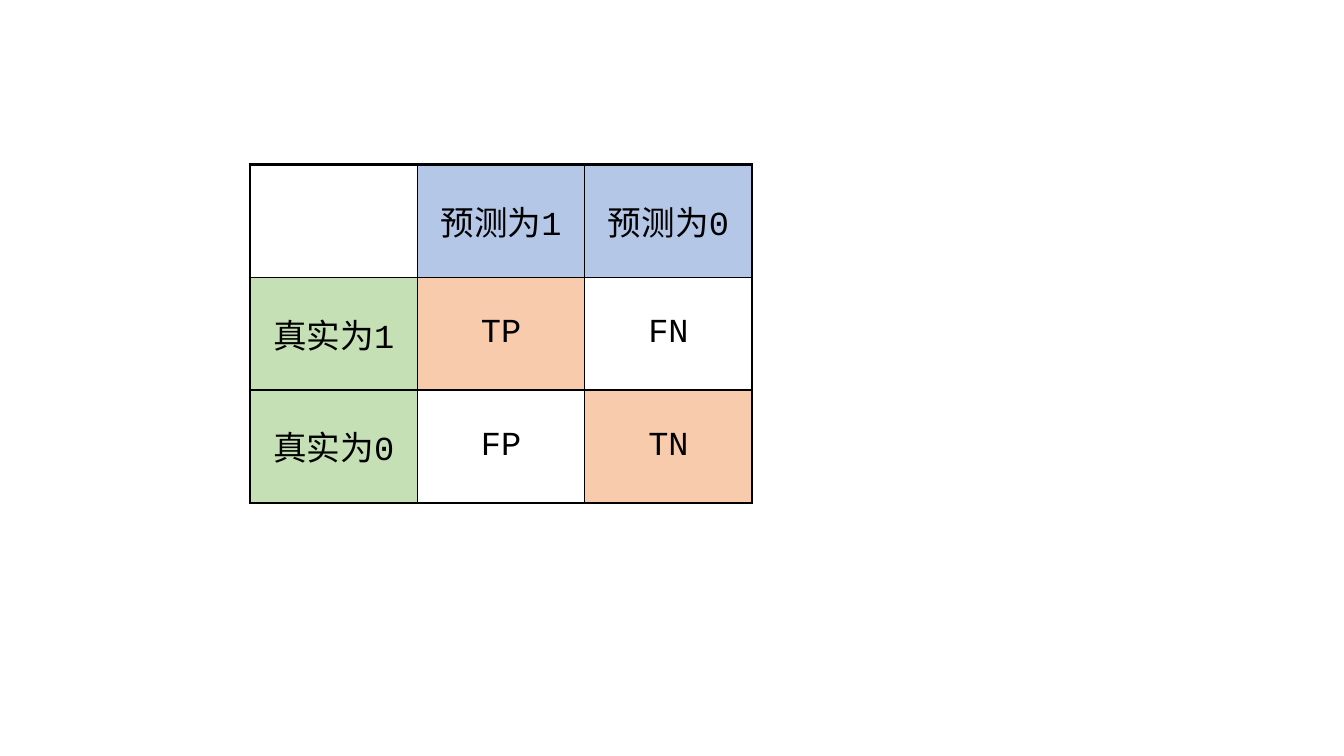
from lxml import etree
from pptx import Presentation
from pptx.dml.color import RGBColor
from pptx.enum.text import MSO_ANCHOR, PP_ALIGN
from pptx.oxml.ns import qn
from pptx.util import Inches, Pt

BLACK = RGBColor(0x00, 0x00, 0x00)
BLUE = RGBColor(0xB4, 0xC7, 0xE7)
GREEN = RGBColor(0xC5, 0xE0, 0xB4)
ORANGE = RGBColor(0xF8, 0xCB, 0xAD)

FONT = "Courier New"
OUTER, INNER = Pt(2.25), Pt(1)
COL_WIDTH, ROW_HEIGHT = Inches(1.66), Inches(1.12)

MATRIX = [
    [("", None), ("预测为1", BLUE), ("预测为0", BLUE)],
    [("真实为1", GREEN), ("TP", ORANGE), ("FN", None)],
    [("真实为0", GREEN), ("FP", None), ("TN", ORANGE)],
]


def set_borders(cell, widths):
    """Draw black borders; widths maps side letters, in schema order L R T B."""
    tc_pr = cell._tc.get_or_add_tcPr()
    for i, (side, width) in enumerate(widths.items()):
        ln = etree.Element(qn(f"a:ln{side}"), w=str(width))
        fill = etree.SubElement(ln, qn("a:solidFill"))
        etree.SubElement(fill, qn("a:srgbClr"), val=str(BLACK))
        tc_pr.insert(i, ln)


def format_cell(cell, text, color):
    if color is None:
        cell.fill.background()
    else:
        cell.fill.solid()
        cell.fill.fore_color.rgb = color
    cell.vertical_anchor = MSO_ANCHOR.MIDDLE
    cell.text = text
    p = cell.text_frame.paragraphs[0]
    p.alignment = PP_ALIGN.CENTER
    p.font.name = FONT
    p.font.size = Pt(24)
    p.font.color.rgb = BLACK


def add_confusion_matrix(s, left, top):
    rows, cols = len(MATRIX), len(MATRIX[0])
    table = s.shapes.add_table(rows, cols, left, top,
                               COL_WIDTH * cols, ROW_HEIGHT * rows).table
    table.first_row = False
    table.horz_banding = False
    for column in table.columns:
        column.width = COL_WIDTH
    for i, row in enumerate(MATRIX):
        table.rows[i].height = ROW_HEIGHT
        for j, (text, color) in enumerate(row):
            cell = table.cell(i, j)
            format_cell(cell, text, color)
            set_borders(cell, {
                "L": OUTER if j == 0 else INNER,
                "R": OUTER if j == cols - 1 else INNER,
                "T": OUTER if i == 0 else INNER,
                "B": OUTER if i == rows - 1 else INNER,
            })


def main():
    prs = Presentation()
    prs.slide_width, prs.slide_height = Inches(13.33), Inches(7.5)
    s = prs.slides.add_slide(prs.slide_layouts[6])
    add_confusion_matrix(s, Inches(2.48), Inches(1.63))
    prs.save("out.pptx")


if __name__ == "__main__":
    main()
